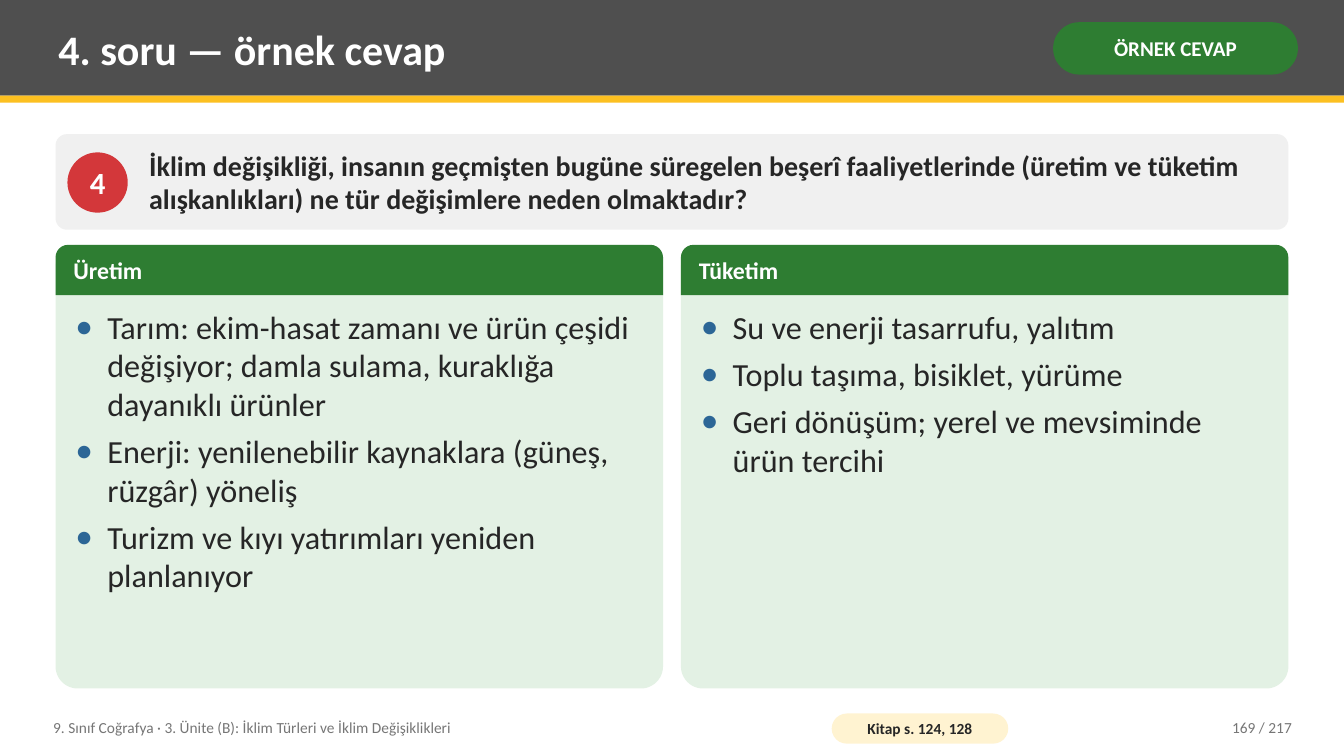
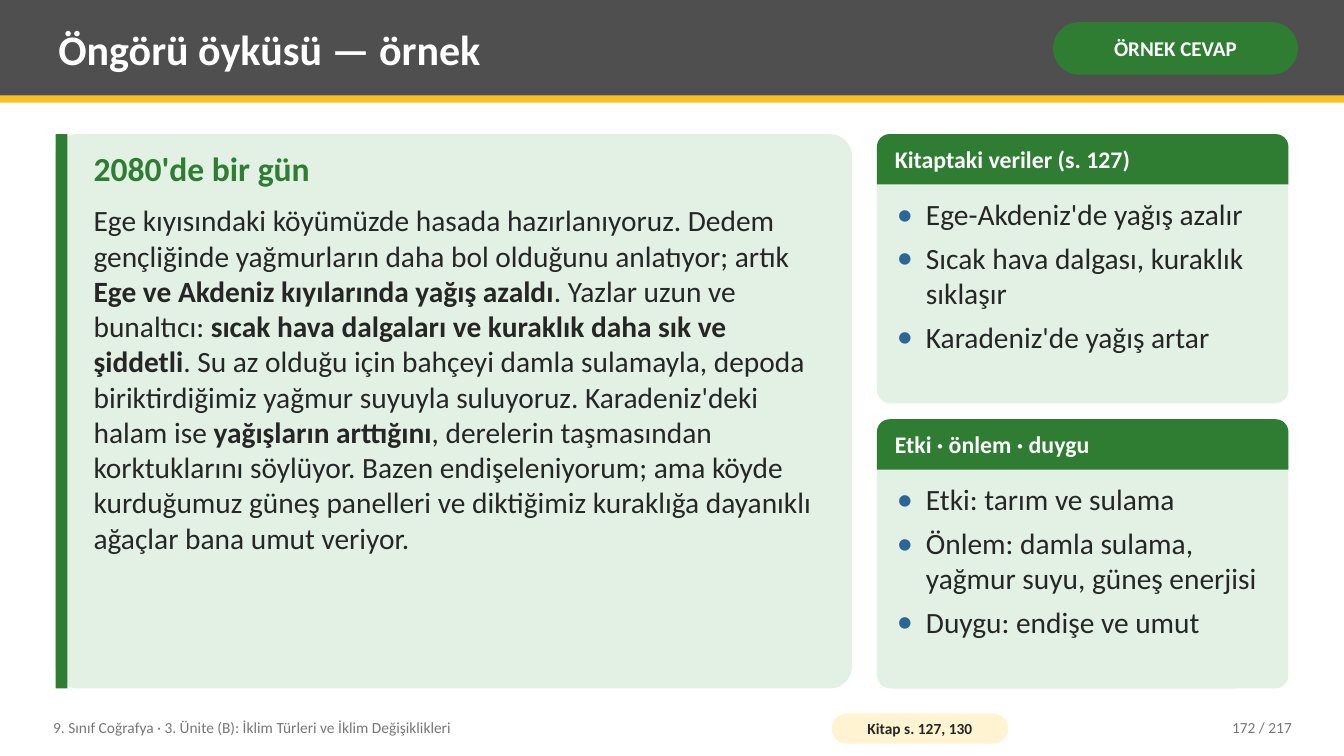
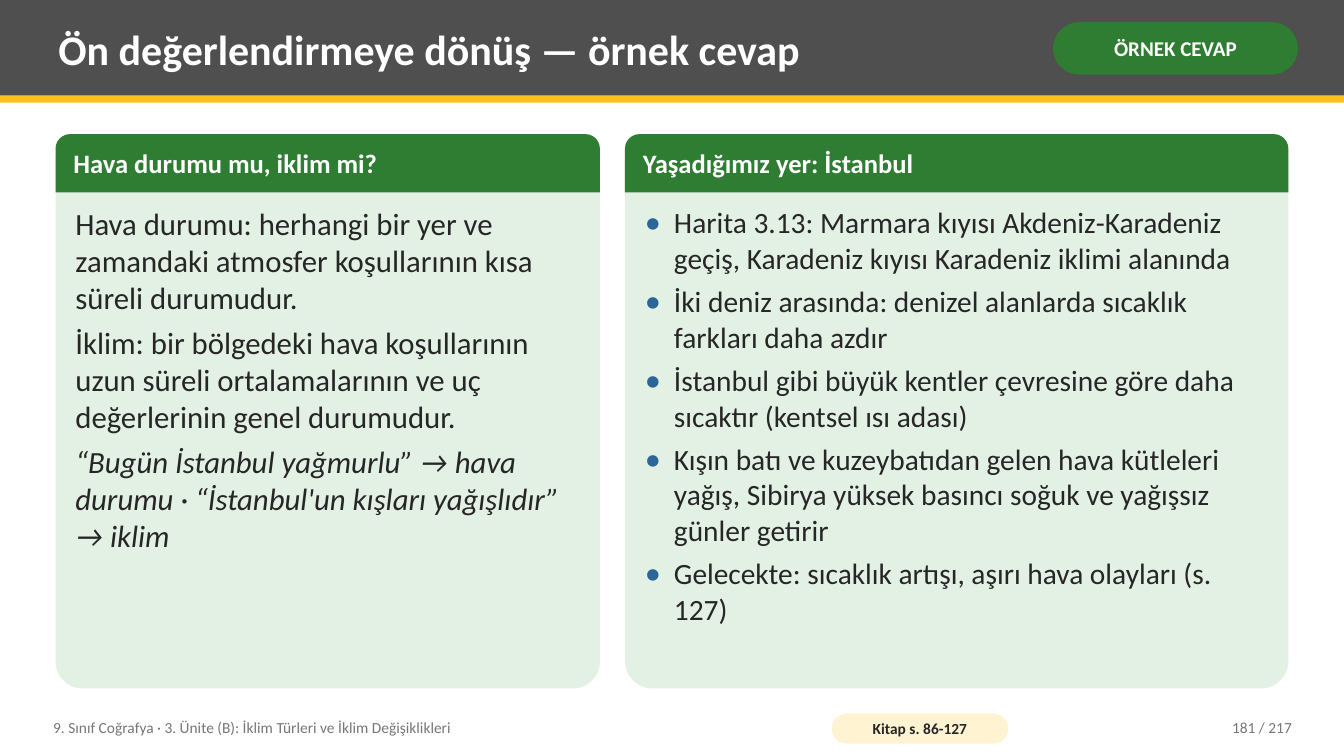
"""Builds three sample-answer slides of a geography lesson on climate change."""
from lxml import etree
from pptx import Presentation
from pptx.dml.color import RGBColor
from pptx.enum import shapes, text
from pptx.oxml import ns
from pptx.util import Cm, Pt

FONT = "Calibri"
GRAY, YELLOW, GREEN, RED, BLUE = "4F4F4F", "FCC021", "2E7D32", "D3373A", "2C6696"
PALE_GREEN, PALE_GRAY, PALE_YELLOW = "E3F1E4", "F0F0F0", "FFF3D1"
WHITE, INK, FOOTER_GRAY = "FFFFFF", "262626", "767676"
LEFT, CENTER, RIGHT = text.PP_ALIGN.LEFT, text.PP_ALIGN.CENTER, text.PP_ALIGN.RIGHT
TOP, MIDDLE = text.MSO_ANCHOR.TOP, text.MSO_ANCHOR.MIDDLE
RECTANGLE = shapes.MSO_SHAPE.RECTANGLE
ROUNDED = shapes.MSO_SHAPE.ROUNDED_RECTANGLE
ROUNDED_TOP = shapes.MSO_SHAPE.ROUND_2_SAME_RECTANGLE
OVAL = shapes.MSO_SHAPE.OVAL


def draw(slide, kind, box, color, corner=None):
    shape = slide.shapes.add_shape(kind, *map(Cm, box))
    shape.shadow.inherit = False
    shape.fill.solid()
    shape.fill.fore_color.rgb = RGBColor.from_string(color)
    shape.line.fill.background()
    if corner is not None:
        shape.adjustments[0] = corner
    return shape


def write(shape, paragraphs, size, color, bold=False, align=LEFT, anchor=MIDDLE,
          insets=(0.2, 0.1), gap=0, bullets=False, emphasis="bold"):
    frame = shape.text_frame
    frame.word_wrap = True
    frame.auto_size = text.MSO_AUTO_SIZE.NONE
    frame.vertical_anchor = anchor
    frame.margin_left = frame.margin_right = Cm(insets[0])
    frame.margin_top = frame.margin_bottom = Cm(insets[1])
    for number, content in enumerate(paragraphs, 1):
        paragraph = frame.paragraphs[0] if number == 1 else frame.add_paragraph()
        properties = paragraph._p.get_or_add_pPr()
        indent = Cm(0.035 * size) if bullets else 0
        properties.set("marL", str(indent))
        properties.set("indent", str(-indent))
        if bullets:
            bullet_color = etree.SubElement(properties, ns.qn("a:buClr"))
            etree.SubElement(bullet_color, ns.qn("a:srgbClr"), val=BLUE)
            etree.SubElement(properties, ns.qn("a:buSzPct"), val="110000")
            etree.SubElement(properties, ns.qn("a:buFont"), typeface=FONT)
            etree.SubElement(properties, ns.qn("a:buChar"), char="•")
        else:
            etree.SubElement(properties, ns.qn("a:buNone"))
        paragraph.alignment = align
        paragraph.space_before = Pt(0)
        paragraph.space_after = Pt(gap if number < len(paragraphs) else 0)
        for position, part in enumerate(content.split("|")):
            if part:
                run = paragraph.add_run()
                run.text = part
                run.font.name = FONT
                run.font.size = Pt(size)
                run.font.bold = bold
                run.font.color.rgb = RGBColor.from_string(color)
                if position % 2:
                    setattr(run.font, emphasis, True)


WIDTH, MARGIN, CONTENT_TOP, CONTENT_BOTTOM = 33.87, 1.4, 3.38, 17.35
CONTENT_RIGHT = WIDTH - MARGIN
CONTENT_HEIGHT = CONTENT_BOTTOM - CONTENT_TOP
HALF_TOP, HALF_GAP = 6.17, 0.45
HALF_WIDTH = (CONTENT_RIGHT - MARGIN - HALF_GAP) / 2
SIDE_LEFT, SIDE_GAP = 22.1, 0.4
SIDE_HEIGHT = (CONTENT_HEIGHT - SIDE_GAP) / 2

lessons = [
    {"title": "4. soru — örnek cevap", "pages": "Kitap s. 124, 128", "number": 169,
     "header": (1.27, 17),
     "cards": [
         ("Üretim", (MARGIN, HALF_TOP, HALF_WIDTH, CONTENT_BOTTOM - HALF_TOP), 23, True, [
             "Tarım: ekim-hasat zamanı ve ürün çeşidi değişiyor; damla sulama, kuraklığa dayanıklı ürünler",
             "Enerji: yenilenebilir kaynaklara (güneş, rüzgâr) yöneliş",
             "Turizm ve kıyı yatırımları yeniden planlanıyor"]),
         ("Tüketim", (MARGIN + HALF_WIDTH + HALF_GAP, HALF_TOP, HALF_WIDTH,
                      CONTENT_BOTTOM - HALF_TOP), 23, True, [
             "Su ve enerji tasarrufu, yalıtım",
             "Toplu taşıma, bisiklet, yürüme",
             "Geri dönüşüm; yerel ve mevsiminde ürün tercihi"])]},
    {"title": "Öngörü öyküsü — örnek", "pages": "Kitap s. 127, 130", "number": 172,
     "header": (1.27, 17),
     "cards": [
         ("Kitaptaki veriler (s. 127)",
          (SIDE_LEFT, CONTENT_TOP, CONTENT_RIGHT - SIDE_LEFT, SIDE_HEIGHT), 21, True, [
              "Ege-Akdeniz'de yağış azalır",
              "Sıcak hava dalgası, kuraklık sıklaşır",
              "Karadeniz'de yağış artar"]),
         ("Etki · önlem · duygu",
          (SIDE_LEFT, CONTENT_TOP + SIDE_HEIGHT + SIDE_GAP, CONTENT_RIGHT - SIDE_LEFT,
           SIDE_HEIGHT), 21, True, [
              "Etki: tarım ve sulama",
              "Önlem: damla sulama, yağmur suyu, güneş enerjisi",
              "Duygu: endişe ve umut"])]},
    {"title": "Ön değerlendirmeye dönüş — örnek cevap", "pages": "Kitap s. 86-127", "number": 181,
     "header": (1.47, 19),
     "cards": [
         ("Hava durumu mu, iklim mi?", (MARGIN, CONTENT_TOP, 13.72, CONTENT_HEIGHT), 22, False, [
             "Hava durumu: herhangi bir yer ve zamandaki atmosfer koşullarının kısa süreli durumudur.",
             "İklim: bir bölgedeki hava koşullarının uzun süreli ortalamalarının ve uç değerlerinin genel durumudur.",
             "|“Bugün İstanbul yağmurlu” → hava durumu · “İstanbul'un kışları yağışlıdır” → iklim"]),
         ("Yaşadığımız yer: İstanbul",
          (15.75, CONTENT_TOP, CONTENT_RIGHT - 15.75, CONTENT_HEIGHT), 21, True, [
              "Harita 3.13: Marmara kıyısı Akdeniz-Karadeniz geçiş, Karadeniz kıyısı Karadeniz iklimi alanında",
              "İki deniz arasında: denizel alanlarda sıcaklık farkları daha azdır",
              "İstanbul gibi büyük kentler çevresine göre daha sıcaktır (kentsel ısı adası)",
              "Kışın batı ve kuzeybatıdan gelen hava kütleleri yağış, Sibirya yüksek basıncı soğuk ve yağışsız günler getirir",
              "Gelecekte: sıcaklık artışı, aşırı hava olayları (s. 127)"])]},
]

presentation = Presentation()
presentation.slide_width, presentation.slide_height = Cm(WIDTH), Cm(19.05)
layout = presentation.slide_layouts.get_by_name("Comparison")
slides = [presentation.slides.add_slide(layout) for lesson in lessons]

band = draw(slides[0], RECTANGLE, (0, 0, WIDTH, 2.41), GRAY)
stripe = draw(slides[0], RECTANGLE, (0, 2.41, WIDTH, 0.18), YELLOW)
badge = draw(slides[0], ROUNDED, (26.54, 0.56, 6.17, 1.32), GREEN, 0.5)
write(badge, ["ÖRNEK CEVAP"], 15, WHITE, True, CENTER, insets=(0.13, 0.05))
unit = slides[0].shapes.add_textbox(Cm(1.14), Cm(17.88), Cm(19.3), Cm(0.91))
write(unit, ["9. Sınıf Coğrafya · 3. Ünite (B): İklim Türleri ve İklim Değişiklikleri"], 11, FOOTER_GRAY)
for order, shape in enumerate((band, stripe, badge, unit)):
    shape.element.nvSpPr.cNvPr.set("id", str(20 + order))
    layout.shapes.element.insert(2 + order, shape.element)
layout_title = layout.placeholders[0]
layout_title.left, layout_title.top = Cm(1.27), Cm(0.18)
layout_title.width, layout_title.height = Cm(24.77), Cm(2.08)

for slide, lesson in zip(slides, lessons):
    write(slide.shapes.title, [lesson["title"]], 30, WHITE, True)
    header_height, header_size = lesson["header"]
    placeholders = {item.placeholder_format.idx: item for item in slide.placeholders}
    for index, (heading, box, size, bullets, items) in enumerate(lesson["cards"]):
        left, top, width, height = box
        draw(slide, ROUNDED, box, PALE_GREEN, 0.05)
        draw(slide, ROUNDED_TOP, (left, top, width, header_height), GREEN, 0.25)
        header, body = placeholders[2 * index + 1], placeholders[2 * index + 2]
        areas = ((header, (left + 0.25, top, width - 0.5, header_height)),
                 (body, (left + 0.3, top + header_height + 0.2, width - 0.6,
                         height - header_height - 0.4)))
        for placeholder, area in areas:
            placeholder.left, placeholder.top, placeholder.width, placeholder.height = map(Cm, area)
            slide.shapes.element.append(placeholder.element)
        write(header, [heading], header_size, WHITE, True)
        write(body, items, size, INK, anchor=TOP, gap=6, bullets=bullets, emphasis="italic")
    pages = draw(slide, ROUNDED, (20.96, 17.98, 4.45, 0.76), PALE_YELLOW, 0.5)
    write(pages, [lesson["pages"]], 11, INK, True, CENTER, insets=(0.1, 0))
    page_number = slide.shapes.add_textbox(Cm(28.7), Cm(17.88), Cm(4.06), Cm(0.91))
    write(page_number, [f"{lesson['number']} / 217"], 11, FOOTER_GRAY, align=RIGHT)

question_slide, story_slide = slides[:2]
draw(question_slide, ROUNDED, (MARGIN, CONTENT_TOP, CONTENT_RIGHT - MARGIN, 2.41), PALE_GRAY, 0.12)
question_number = draw(question_slide, OVAL, (1.7, 3.84, 1.52, 1.52), RED)
write(question_number, ["4"], 22, WHITE, True, CENTER, insets=(0, 0))
question = question_slide.shapes.add_textbox(Cm(3.56), Cm(CONTENT_TOP), Cm(28.65), Cm(2.41))
write(question, ["İklim değişikliği, insanın geçmişten bugüne süregelen beşerî faaliyetlerinde "
                 "(üretim ve tüketim alışkanlıkları) ne tür değişimlere neden olmaktadır?"], 20, INK, True)

draw(story_slide, ROUNDED, (MARGIN, CONTENT_TOP, 20.07, CONTENT_HEIGHT), PALE_GREEN, 0.04)
draw(story_slide, RECTANGLE, (MARGIN, CONTENT_TOP, 0.3, CONTENT_HEIGHT), GREEN)
story = story_slide.shapes.add_textbox(Cm(2.16), Cm(3.63), Cm(18.92), Cm(13.46))
write(story, [
    "|2080'de bir gün",
    "Ege kıyısındaki köyümüzde hasada hazırlanıyoruz. Dedem gençliğinde yağmurların daha bol "
    "olduğunu anlatıyor; artık |Ege ve Akdeniz kıyılarında yağış azaldı|. Yazlar uzun ve bunaltıcı: "
    "|sıcak hava dalgaları ve kuraklık daha sık ve şiddetli|. Su az olduğu için bahçeyi damla "
    "sulamayla, depoda biriktirdiğimiz yağmur suyuyla suluyoruz. Karadeniz'deki halam ise "
    "|yağışların arttığını|, derelerin taşmasından korktuklarını söylüyor. Bazen endişeleniyorum; "
    "ama köyde kurduğumuz güneş panelleri ve diktiğimiz kuraklığa dayanıklı ağaçlar bana umut veriyor.",
], 21, INK, anchor=TOP, gap=10)
story_heading = story.text_frame.paragraphs[0].runs[0]
story_heading.font.size = Pt(24)
story_heading.font.color.rgb = RGBColor.from_string(GREEN)

presentation.save("out.pptx")
